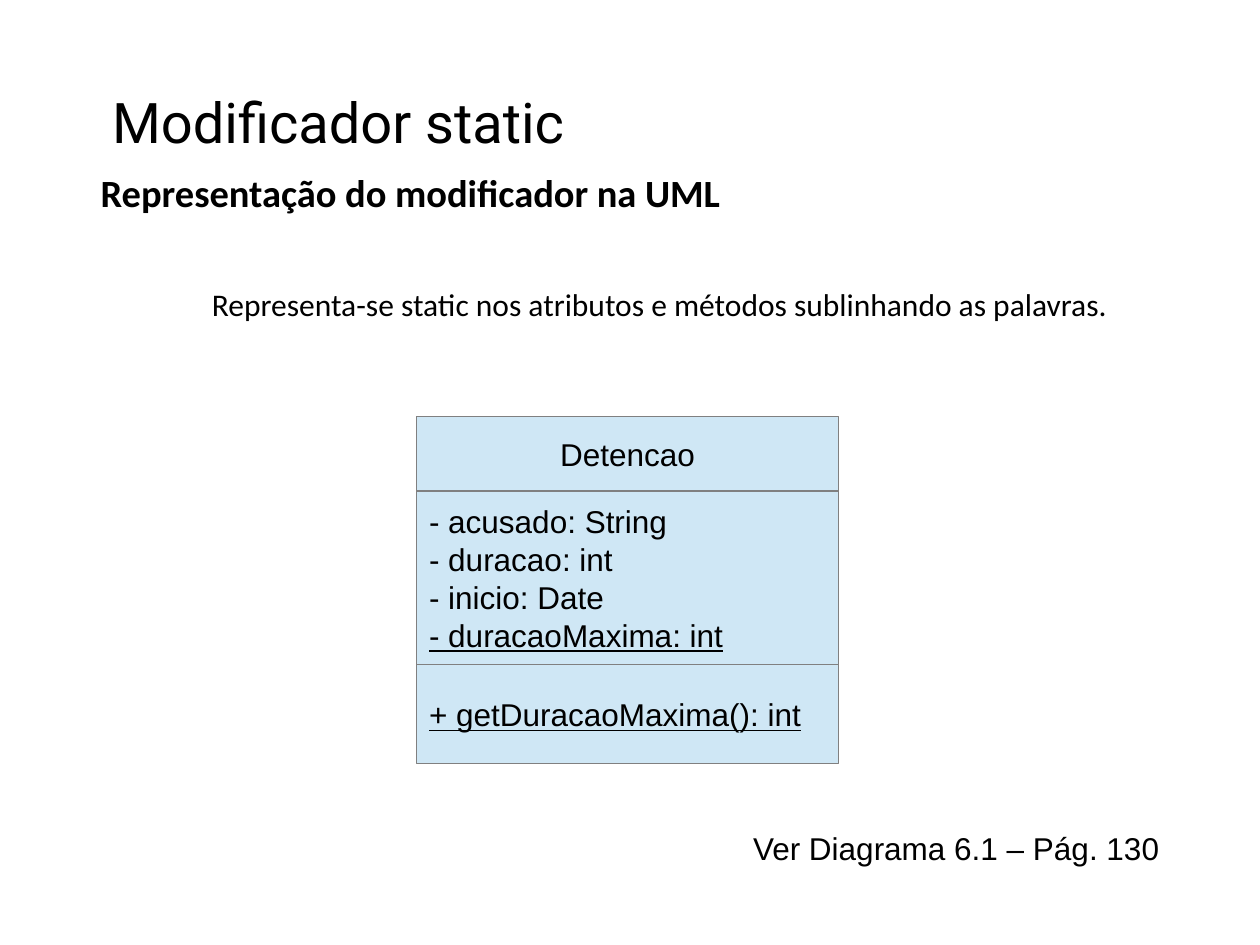
import pptx
import pptx.dml.color
import pptx.enum.shapes
import pptx.enum.text
import pptx.util
from dataclasses import dataclass

Cm = pptx.util.Cm
Anchor = pptx.enum.text.MSO_ANCHOR
Align = pptx.enum.text.PP_ALIGN


@dataclass(frozen=True)
class Theme:
    ink: str = "000000"
    class_fill: str = "CFE7F5"
    class_line: str = "808080"
    title_size: int = 32
    subtitle_size: int = 22
    text_size: int = 18
    title_font: str = "Roboto"
    body_font: str = "Calibri"
    diagram_font: str = "Arial"


theme = Theme()


def color(value):
    return pptx.dml.color.RGBColor.from_string(value)


def write(frame, lines, font, size, anchor=Anchor.MIDDLE, align=Align.LEFT,
          bold=False, inset=True, indent=0):
    frame.word_wrap = True
    frame.vertical_anchor = anchor
    frame.margin_left = frame.margin_right = Cm(0.25 if inset else 0)
    frame.margin_top = frame.margin_bottom = Cm(0.13 if inset else 0)
    for index, (words, underlined) in enumerate(lines):
        paragraph = frame.add_paragraph() if index else frame.paragraphs[0]
        paragraph.alignment = align
        if indent:
            paragraph._p.get_or_add_pPr().set("marL", str(Cm(indent)))
        run = paragraph.add_run()
        run.text = words
        run.font.name = font
        run.font.size = pptx.util.Pt(size)
        run.font.bold = bold
        run.font.underline = underlined
        run.font.color.rgb = color(theme.ink)


presentation = pptx.Presentation()
presentation.slide_width = Cm(25.4)
presentation.slide_height = Cm(19.05)
slide = presentation.slides.add_slide(presentation.slide_layouts[6])
shapes = slide.shapes

title = shapes.add_textbox(Cm(2.01), Cm(0.56), Cm(21.59), Cm(3.76))
write(title.text_frame, [("Modificador static", False)],
      theme.title_font, theme.title_size)

explanation = shapes.add_textbox(Cm(3.53), Cm(5.26), Cm(18.95), Cm(1.75))
write(explanation.text_frame,
      [(" Representa-se static nos atributos e métodos sublinhando as palavras.", False)],
      theme.body_font, theme.text_size, inset=False, indent=0.6)

subtitle = shapes.add_textbox(Cm(2.03), Cm(3.4), Cm(18.95), Cm(0.94))
write(subtitle.text_frame, [("Representação do modificador na UML", False)],
      theme.body_font, theme.subtitle_size, bold=True, inset=False)

page_reference = shapes.add_textbox(Cm(11.99), Cm(16.59), Cm(11.63), Cm(1.02))
write(page_reference.text_frame, [("Ver Diagrama 6.1 – Pág. 130", False)],
      theme.diagram_font, theme.text_size, anchor=Anchor.TOP, align=Align.RIGHT)

class_compartments = [
    (1.5, Align.CENTER, [("Detencao", False)]),
    (3.5, Align.LEFT, [
        ("- acusado: String", False),
        ("- duracao: int", False),
        ("- inicio: Date", False),
        ("- duracaoMaxima: int", True),
    ]),
    (2, Align.LEFT, [("+ getDuracaoMaxima(): int", True)]),
]
top = 8.4
for height, align, members in class_compartments:
    compartment = shapes.add_shape(
        pptx.enum.shapes.MSO_SHAPE.RECTANGLE, Cm(8.4), Cm(top), Cm(8.5), Cm(height))
    compartment.shadow.inherit = False
    compartment.fill.solid()
    compartment.fill.fore_color.rgb = color(theme.class_fill)
    compartment.line.color.rgb = color(theme.class_line)
    compartment.line.width = 0
    write(compartment.text_frame, members, theme.diagram_font, theme.text_size, align=align)
    top += height

presentation.save("out.pptx")
